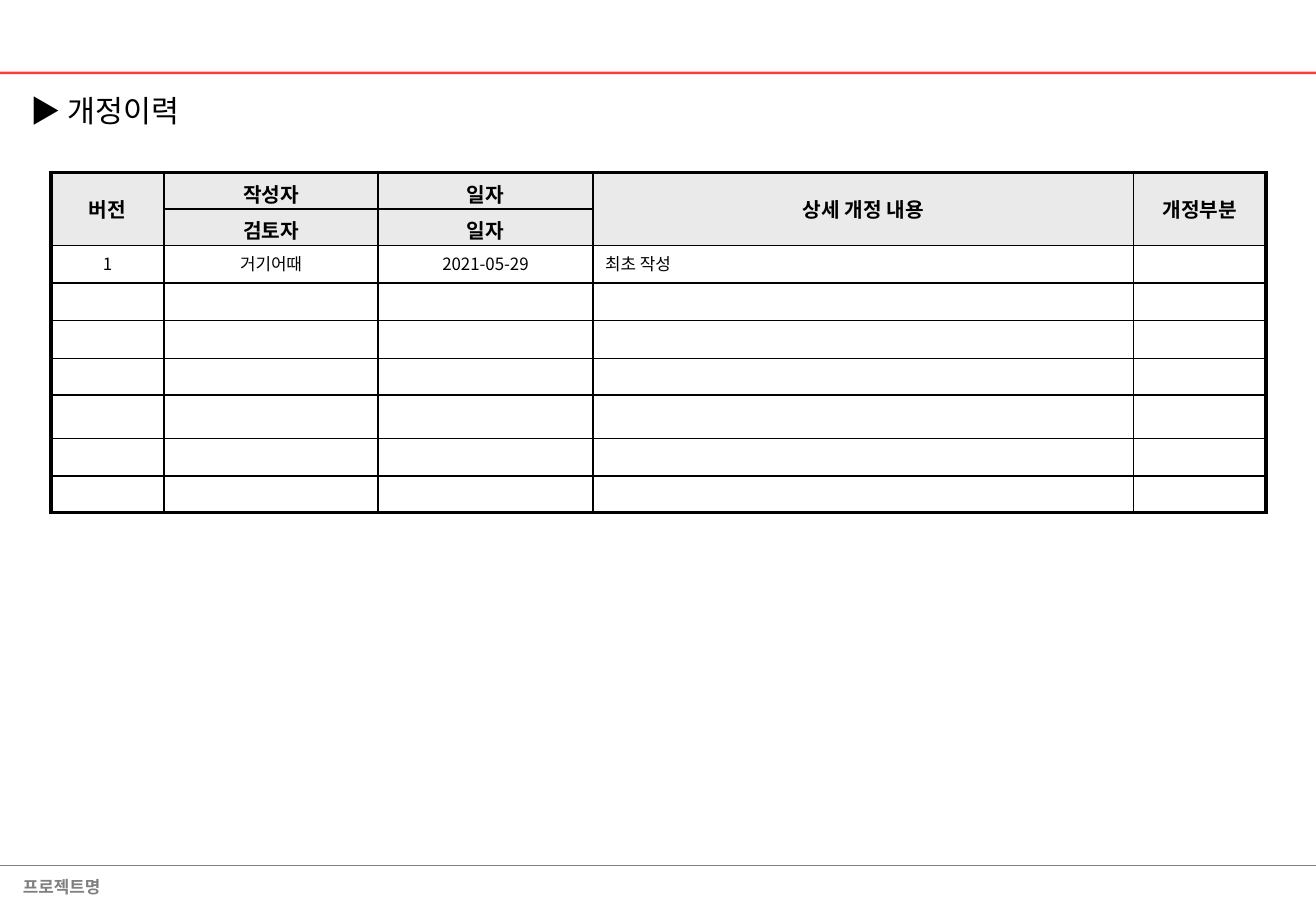
from lxml.etree import SubElement as Sub
from pptx import Presentation
from pptx.dml.color import RGBColor as RGB
from pptx.enum.shapes import MSO_CONNECTOR as Link
from pptx.enum.text import MSO_ANCHOR as Anchor, MSO_AUTO_SIZE as Fit, PP_ALIGN as Align
from pptx.oxml.ns import qn
from pptx.util import Inches, Pt

FONT = "Noto Sans CJK KR"
HEX = {"ink": "000000", "head": "EAEAEA", "rule": "FF0000", "foot": "808080"}
WIDE, HIGH = Inches(10.83), Inches(7.5)
COLS = [0.93, 1.76, 1.77, 4.45, 1.09]
ROWS = [0.3, 0.3, 0.31, 0.31, 0.31, 0.3, 0.36, 0.31, 0.3]
TEXT = [
    ["버전", "작성자", "일자", "상세 개정 내용", "개정부분"],
    ["", "검토자", "일자", "", ""],
    ["1", "거기어때", "2021-05-29", "최초 작성", ""],
]
HEADS = 2
MERGED = (0, 3, 4)


def style(para, size, color="ink", bold=False, align=Align.LEFT):
    para.alignment = align
    font = para.font
    font.name, font.size, font.bold = FONT, Pt(size), bold
    font.color.rgb = RGB.from_string(HEX[color])


def add_rule(slide, top, color, width, alpha=None):
    line = slide.shapes.add_connector(Link.STRAIGHT, 0, int(HIGH * top), WIDE, int(HIGH * top))
    line.line.width = Pt(width)
    line.line.color.rgb = RGB.from_string(HEX[color])
    props = line._element.spPr
    Sub(props, qn("a:effectLst"))
    if alpha:
        tone = next(props.iter(qn("a:srgbClr")))
        Sub(tone, qn("a:alpha"), val=str(alpha * 1000))


def add_title(slide, text):
    title = slide.shapes.title
    title.left, title.top = Inches(0.15), Inches(0.68)
    title.width, title.height = Inches(3.55), Inches(0.46)
    frame = title.text_frame
    frame.text = text
    frame.vertical_anchor = Anchor.MIDDLE
    style(frame.paragraphs[0], 18)


def add_foot(slide, text):
    box = slide.shapes.add_textbox(Inches(0.09), Inches(7.17), Inches(0.89), Inches(0.27))
    frame = box.text_frame
    frame.text = text
    frame.word_wrap = False
    frame.auto_size = Fit.SHAPE_TO_FIT_TEXT
    style(frame.paragraphs[0], 10, "foot", True)


def add_edges(cell, row, col):
    props = cell._tc.get_or_add_tcPr()
    outer = {"L": col == 0, "R": col == len(COLS) - 1, "T": row == 0, "B": row == len(ROWS) - 1}
    for side, thick in outer.items():
        edge = Sub(props, qn("a:ln" + side), w=str(Pt(2.25 if thick else 1)))
        Sub(Sub(edge, qn("a:solidFill")), qn("a:srgbClr"), val=HEX["ink"])


def fill_cell(cell, row, col):
    head = row < HEADS
    text = TEXT[row][col] if row < len(TEXT) else ""
    add_edges(cell, row, col)
    if head:
        cell.fill.solid()
        cell.fill.fore_color.rgb = RGB.from_string(HEX["head"])
    else:
        cell.fill.background()
    if head and col in MERGED:
        cell.vertical_anchor = Anchor.MIDDLE
    para = cell.text_frame.paragraphs[0]
    size = 12 if head else 10
    if text:
        para.text = text
    else:
        Sub(para._p, qn("a:endParaRPr"), sz=str(size * 100))
    style(para, size, bold=head, align=Align.CENTER if head or col != 3 else Align.LEFT)


def add_grid(slide):
    frame = slide.shapes.add_table(len(ROWS), len(COLS), Inches(0.42), Inches(1.42),
                                   Inches(sum(COLS)), Inches(sum(ROWS)))
    table = frame.table
    table.first_row = table.horz_banding = False
    for col, width in zip(table.columns, COLS):
        col.width = Inches(width)
    for row, height in zip(table.rows, ROWS):
        row.height = Inches(height)
    for row in range(len(ROWS)):
        for col in range(len(COLS)):
            fill_cell(table.cell(row, col), row, col)
    for col in MERGED:
        table.cell(0, col).merge(table.cell(HEADS - 1, col))


def main():
    deck = Presentation()
    deck.slide_width, deck.slide_height = WIDE, HIGH
    slide = deck.slides.add_slide(deck.slide_layouts[5])
    add_rule(slide, 0.08, "rule", 1.5, 76)
    add_rule(slide, 0.95, "foot", 0.75)
    add_foot(slide, "프로젝트명")
    add_grid(slide)
    add_title(slide, "▶ 개정이력")
    deck.save("out.pptx")


if __name__ == "__main__":
    main()
